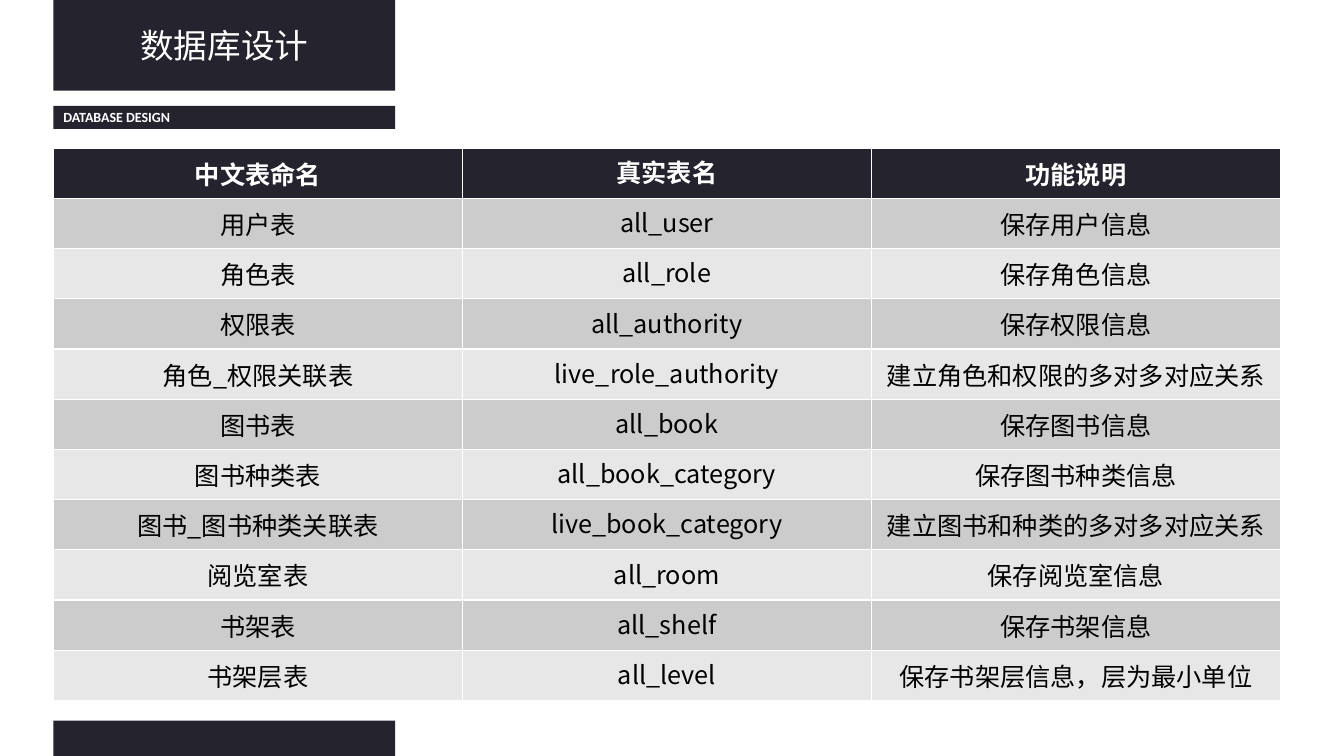
from dataclasses import dataclass

import pptx
import pptx.util
from lxml import etree
from pptx.dml.color import RGBColor
from pptx.enum.shapes import MSO_SHAPE
from pptx.enum.text import MSO_ANCHOR, MSO_AUTO_SIZE, PP_ALIGN
from pptx.oxml.ns import qn
from pptx.util import Inches


@dataclass(frozen=True)
class Theme:
    dark: str = "25232E"
    white: str = "FFFFFF"
    black: str = "000000"
    bands: tuple = ("CCCCCC", "E7E7E7")
    title_font: str = "Noto Sans CJK JP"
    label_font: str = "Calibri"
    table_font: str = "Noto Sans CJK SC"
    title_size: int = 24
    label_size: int = 10
    table_size: int = 18


THEME = Theme()

HEADERS = ("中文表命名", "真实表名", "功能说明")
DATABASE_TABLES = (
    ("用户表", "all_user", "保存用户信息"),
    ("角色表", "all_role", "保存角色信息"),
    ("权限表", "all_authority", "保存权限信息"),
    ("角色_权限关联表", "live_role_authority", "建立角色和权限的多对多对应关系"),
    ("图书表", "all_book", "保存图书信息"),
    ("图书种类表", "all_book_category", "保存图书种类信息"),
    ("图书_图书种类关联表", "live_book_category", "建立图书和种类的多对多对应关系"),
    ("阅览室表", "all_room", "保存阅览室信息"),
    ("书架表", "all_shelf", "保存书架信息"),
    ("书架层表", "all_level", "保存书架层信息，层为最小单位"),
)


def write_text(text_frame, text, *, font, size, color, bold=False,
               align=PP_ALIGN.CENTER):
    paragraph = text_frame.paragraphs[0]
    paragraph.alignment = align
    run = paragraph.add_run()
    run.text = text
    run.font.name = font
    run.font.size = pptx.util.Pt(size)
    run.font.bold = bold
    run.font.color.rgb = RGBColor.from_string(color)
    east_asian = etree.SubElement(run.font._element, qn("a:ea"))
    east_asian.set("typeface", font)


def fill_solid(target, color):
    target.fill.solid()
    target.fill.fore_color.rgb = RGBColor.from_string(color)


def add_bar(slide, left, top, width, height):
    bar = slide.shapes.add_shape(
        MSO_SHAPE.RECTANGLE, Inches(left), Inches(top), Inches(width), Inches(height))
    bar.shadow.inherit = False
    fill_solid(bar, THEME.dark)
    bar.line.fill.background()
    return bar


def add_heading(slide, left, top, width):
    """Place the title block and, under it, the English label bar."""
    title = slide.shapes.title
    title.left, title.top = Inches(left), Inches(top)
    title.width, title.height = Inches(width), Inches(0.9)
    fill_solid(title, THEME.dark)
    title.text_frame.auto_size = MSO_AUTO_SIZE.NONE
    title.text_frame.vertical_anchor = MSO_ANCHOR.MIDDLE
    write_text(title.text_frame, "数据库设计", font=THEME.title_font,
               size=THEME.title_size, color=THEME.white)

    label = add_bar(slide, left, top + 1.05, width, 0.23)
    label.text_frame.word_wrap = True
    label.text_frame.vertical_anchor = MSO_ANCHOR.MIDDLE
    write_text(label.text_frame, "DATABASE DESIGN", font=THEME.label_font,
               size=THEME.label_size, color=THEME.white, bold=True,
               align=PP_ALIGN.JUSTIFY)


def format_cell(cell, text, row, column):
    is_header = row == 0
    fill_solid(cell, THEME.dark if is_header else THEME.bands[(row - 1) % 2])
    if column != 1:
        cell.vertical_anchor = MSO_ANCHOR.MIDDLE
        cell.margin_left = cell.margin_right = 0
        cell.margin_top = cell.margin_bottom = 0
    write_text(cell.text_frame, text, font=THEME.table_font, size=THEME.table_size,
               color=THEME.white if is_header else THEME.black, bold=is_header)


def add_database_table(slide, left, top, width, height):
    rows = (HEADERS, *DATABASE_TABLES)
    table = slide.shapes.add_table(
        len(rows), len(HEADERS),
        Inches(left), Inches(top), Inches(width), Inches(height)).table
    for row, texts in enumerate(rows):
        for column, text in enumerate(texts):
            format_cell(table.cell(row, column), text, row, column)


def main():
    presentation = pptx.Presentation()
    presentation.slide_width = Inches(13.33)
    presentation.slide_height = Inches(7.5)
    slide = presentation.slides.add_slide(
        presentation.slide_layouts.get_by_name("Title Only"))
    fill_solid(slide.background, THEME.white)

    left, bar_width = 0.53, 3.39
    add_heading(slide, left, 0, bar_width)
    add_database_table(slide, left, 1.47, 12.17, 5.48)
    add_bar(slide, left, 7.15, bar_width, 0.9)
    presentation.save("out.pptx")


if __name__ == "__main__":
    main()
